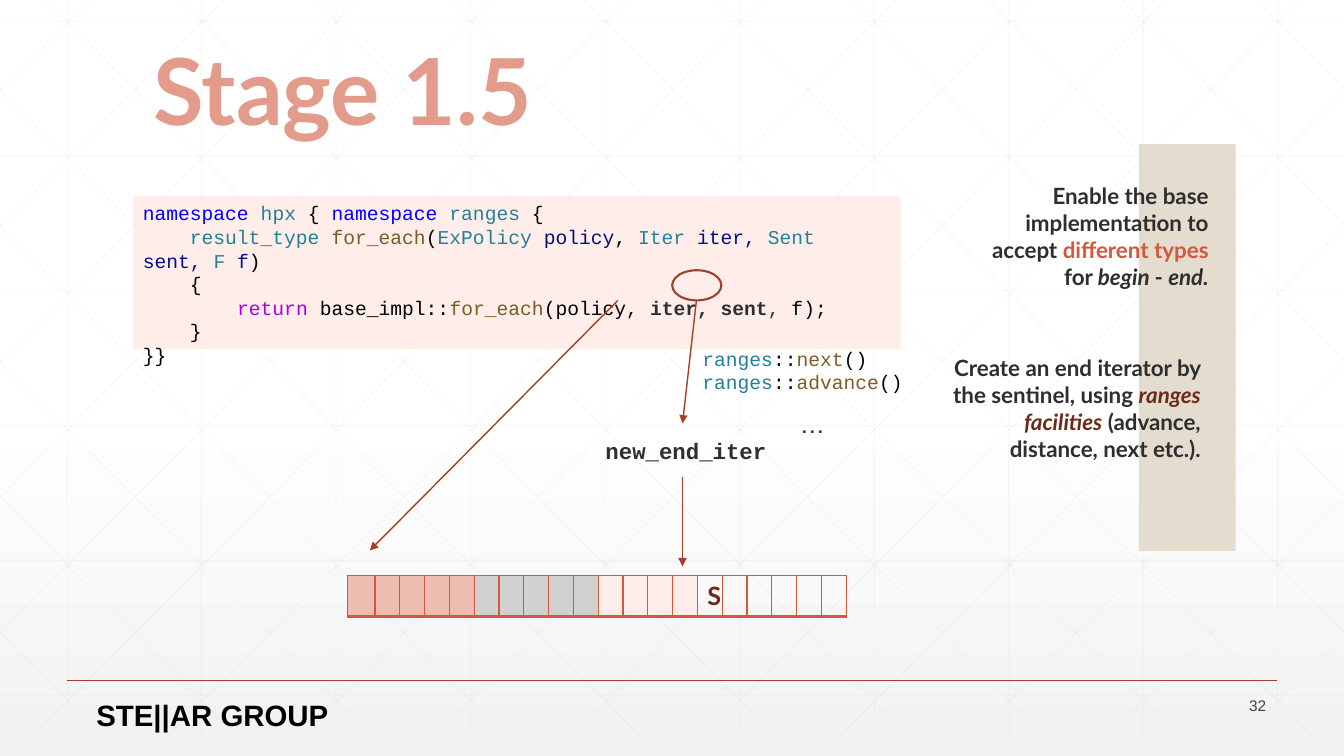
from typing import NamedTuple

from lxml import etree
from pptx import Presentation, util as u
from pptx.dml.color import RGBColor
from pptx.enum import shapes, text
from pptx.oxml import ns

SLIDE_W, SLIDE_H = 33.87, 19.05
GRID_TOP, GRID_BOTTOM, GRID_STEP = -0.53, 18.52, 3.39
GRID_SLOPE = 0.99
INK, BLACK, RUST, ORANGE, MAROON = "2D2E2D", "000000", "A43F27", "D15A3E", "6D2A1A"
BLUE, TEAL, BROWN, NAVY, PURPLE = "0000FF", "267F99", "795E26", "001080", "AF00DB"
PEACH = "FEEDE8"
LEFT, RIGHT = text.PP_ALIGN.LEFT, text.PP_ALIGN.RIGHT
TOP, MIDDLE, BOTTOM = text.MSO_ANCHOR.TOP, text.MSO_ANCHOR.MIDDLE, text.MSO_ANCHOR.BOTTOM


class Span(NamedTuple):
    words: str
    color: str = BLACK
    bold: bool = False
    italic: bool = False


class Label(NamedTuple):
    left: float
    top: float
    width: float
    height: float
    font: str
    size: int
    lines: list[list[Span]]
    align: text.PP_ALIGN = LEFT
    anchor: text.MSO_ANCHOR = TOP


class Arrow(NamedTuple):
    x1: float
    y1: float
    x2: float
    y2: float


class CellBand(NamedTuple):
    count: int
    fill: str | None


CODE = [
    [Span("namespace ", BLUE), Span("hpx", TEAL), Span(" { "),
     Span("namespace ", BLUE), Span("ranges", TEAL), Span(" {")],
    [Span("    result_type ", TEAL), Span("for_each", BROWN), Span("("),
     Span("ExPolicy ", TEAL), Span("policy", NAVY), Span(", "), Span("Iter ", TEAL),
     Span("iter, ", NAVY), Span("Sent ", TEAL), Span("sent, ", NAVY),
     Span("F ", TEAL), Span("f", NAVY), Span(")")],
    [Span("    {")],
    [Span("        "), Span("return ", PURPLE), Span("base_impl::"),
     Span("for_each", BROWN), Span("(policy, "), Span("iter, sent", INK, True),
     Span(",", INK), Span(" f);")],
    [Span("    }")],
    [Span("}}")],
]
RANGES_CALLS = [
    [Span("ranges", TEAL), Span("::"), Span(name, BROWN), Span("()")]
    for name in ("next", "advance")
]
TYPES_NOTE = [[
    Span("Enable the base implementation to accept ", INK, True),
    Span("different types ", ORANGE, True), Span("for ", INK, True),
    Span("begin ", INK, True, True), Span("- ", INK, True), Span("end.", INK, True, True),
]]
SENTINEL_NOTE = [[
    Span("Create an end iterator by the sentinel, using ", INK, True),
    Span("ranges facilities", MAROON, True, True),
    Span(" (advance, distance, next etc.).", INK, True),
]]
LABELS = [
    Label(24.23, 4.47, 6.48, 3.0, "Lato", 16, TYPES_NOTE, RIGHT),
    Label(23.6, 8.81, 6.91, 3.0, "Lato", 16, SENTINEL_NOTE, RIGHT),
    Label(17.45, 8.61, 5.84, 1.45, "Courier New", 14, RANGES_CALLS),
    Label(15.01, 10.9, 4.78, 0.94, "Courier New", 16, [[Span("new_end_iter", INK, True)]]),
    Label(2.18, 17.45, 6.6, 1.14, "Arial", 21, [[Span("STE||AR GROUP", BLACK, True)]]),
    Label(29.62, 17.48, 2.54, 0.61, "Arial", 11, [[Span("32", "424342")]], RIGHT, MIDDLE),
]
TITLE = Label(3.61, 0.61, 11.76, 3.18, "Lato", 66,
              [[Span("Stage 1.5", "E39C8B", True)]], anchor=BOTTOM)
ELLIPSIS = Label(19.91, 10.16, 1.35, 1.02, "Arial", 18, [[Span("…", INK)]])
ARROWS = [
    Arrow(17.55, 7.57, 17.2, 10.67),
    Arrow(15.57, 7.57, 9.32, 13.87),
    Arrow(17.2, 12.01, 17.2, 14.27),
]
CELL_BANDS = [CellBand(5, "EDBDB2"), CellBand(5, "D1D1D1"), CellBand(4, PEACH), CellBand(6, None)]
SENTINEL_CELL = 14


def rgb(color: str) -> RGBColor:
    return RGBColor.from_string(color)


def add_line(slide, x1: float, y1: float, x2: float, y2: float, color: str, points: float):
    line = slide.shapes.add_connector(
        shapes.MSO_CONNECTOR.STRAIGHT, u.Cm(x1), u.Cm(y1), u.Cm(x2), u.Cm(y2))
    line.line.color.rgb = rgb(color)
    line.line.width = u.Pt(points)
    etree.SubElement(line._element.spPr, ns.qn("a:effectLst"))
    return line


def add_grid_line(slide, x1: float, y1: float, x2: float, y2: float) -> None:
    line = add_line(slide, x1, y1, x2, y2, "D9D9D9", 0.5)
    color = line.line._ln.find(".//" + ns.qn("a:srgbClr"))
    etree.SubElement(color, ns.qn("a:alpha"), val="25000")


def add_diagonal(slide, start: float, slope: float) -> None:
    """Draw the part on the slide of a diagonal that is at x = start on the grid's top."""
    at_edges = sorted(GRID_TOP + (edge - start) / slope for edge in (0, SLIDE_W))
    y1, y2 = max(0, at_edges[0]), min(GRID_BOTTOM, at_edges[1])
    x1, x2 = (start + slope * (y - GRID_TOP) for y in (y1, y2))
    add_grid_line(slide, x1, y1, x2, y2)


def add_grid(slide) -> None:
    for column in range(10):
        x = 1.69 + column * GRID_STEP
        add_grid_line(slide, x, 0, x, GRID_BOTTOM)
    for row in range(6):
        y = 0.53 + row * 3.4
        add_grid_line(slide, 0, y, SLIDE_W, y)
    for step in range(15):
        add_diagonal(slide, 0.64 + (step - 5) * GRID_STEP, GRID_SLOPE)
        add_diagonal(slide, 2.77 + step * GRID_STEP, -GRID_SLOPE)


def add_arrow(slide, arrow: Arrow) -> None:
    line = add_line(slide, *arrow, RUST, 1)
    etree.SubElement(line.line._ln, ns.qn("a:tailEnd"), type="triangle")


def add_panel(slide, kind, left: float, top: float, width: float, height: float,
              fill: str | None):
    panel = slide.shapes.add_shape(kind, u.Cm(left), u.Cm(top), u.Cm(width), u.Cm(height))
    panel.shadow.inherit = False
    panel.line.fill.background()
    if fill:
        panel.fill.solid()
        panel.fill.fore_color.rgb = rgb(fill)
    else:
        panel.fill.background()
    return panel


def write_lines(frame, lines: list[list[Span]], font: str, size: int, align) -> None:
    frame.word_wrap = True
    for index, spans in enumerate(lines):
        paragraph = frame.add_paragraph() if index else frame.paragraphs[0]
        paragraph.alignment = align
        for span in spans:
            run = paragraph.add_run()
            run.text = span.words
            run.font.name, run.font.size = font, u.Pt(size)
            run.font.bold, run.font.italic = span.bold, span.italic
            run.font.color.rgb = rgb(span.color)


def add_label(slide, label: Label):
    box = slide.shapes.add_textbox(
        u.Cm(label.left), u.Cm(label.top), u.Cm(label.width), u.Cm(label.height))
    frame = box.text_frame
    frame.vertical_anchor = label.anchor
    write_lines(frame, label.lines, label.font, label.size, label.align)
    return frame


def set_borders(cell) -> None:
    properties = cell._tc.get_or_add_tcPr()
    for position, (side, points) in enumerate((("L", 1), ("R", 1), ("T", 1), ("B", 2))):
        border = etree.Element(ns.qn(f"a:ln{side}"), w=str(u.Pt(points)))
        fill = etree.SubElement(border, ns.qn("a:solidFill"))
        etree.SubElement(fill, ns.qn("a:srgbClr"), val=ORANGE)
        properties.insert(position, border)


def add_sequence(slide) -> None:
    """Draw the row of elements that the iterators point into."""
    fills = [band.fill for band in CELL_BANDS for _ in range(band.count)]
    width, first = 12.57, 0.69
    table = slide.shapes.add_table(
        1, len(fills), u.Cm(8.76), u.Cm(14.5), u.Cm(width), u.Cm(1.02)).table
    table.first_row = table.horz_banding = False
    for index, fill in enumerate(fills):
        table.columns[index].width = u.Cm((width - first) / (len(fills) - 1) if index else first)
        cell = table.cell(0, index)
        if fill:
            cell.fill.solid()
            cell.fill.fore_color.rgb = rgb(fill)
        else:
            cell.fill.background()
        set_borders(cell)
    write_lines(table.cell(0, SENTINEL_CELL).text_frame, [[Span("S", MAROON, True)]],
                "Lato", 18, text.PP_ALIGN.CENTER)


def main() -> None:
    deck = Presentation()
    deck.slide_width, deck.slide_height = u.Cm(SLIDE_W), u.Cm(SLIDE_H)
    slide = deck.slides.add_slide(deck.slide_layouts[6])
    backdrop = slide.background.fill
    backdrop.gradient()
    backdrop.gradient_angle = 270
    for stop, (position, color) in zip(backdrop.gradient_stops, ((0.53, "FFFFFF"), (1, "F2F2F2"))):
        stop.position, stop.color.rgb = position, rgb(color)

    add_grid(slide)
    add_line(slide, 1.69, 17.14, 32.18, 17.14, RUST, 1)
    add_sequence(slide)
    rectangle = shapes.MSO_SHAPE.RECTANGLE
    code = add_panel(slide, rectangle, 3.35, 4.95, 19.35, 3.84, PEACH).text_frame
    code.vertical_anchor = TOP
    code.margin_right = u.Cm(0.6)
    write_lines(code, CODE, "Courier New", 14, LEFT)
    add_panel(slide, rectangle, 28.7, 3.63, 2.44, 10.26, "E3DCCF")
    ring = add_panel(slide, shapes.MSO_SHAPE.OVAL, 16.94, 6.81, 1.24, 0.76, None)
    ring.line.color.rgb = rgb("9B432E")
    ring.line.width = u.Pt(1.5)
    for arrow in ARROWS:
        add_arrow(slide, arrow)
    for label in LABELS:
        add_label(slide, label)
    add_label(slide, TITLE).paragraphs[0].line_spacing = 0.9
    add_label(slide, ELLIPSIS)._txBody.bodyPr.set("vert", "wordArtVert")
    deck.save("out.pptx")


if __name__ == "__main__":
    main()
